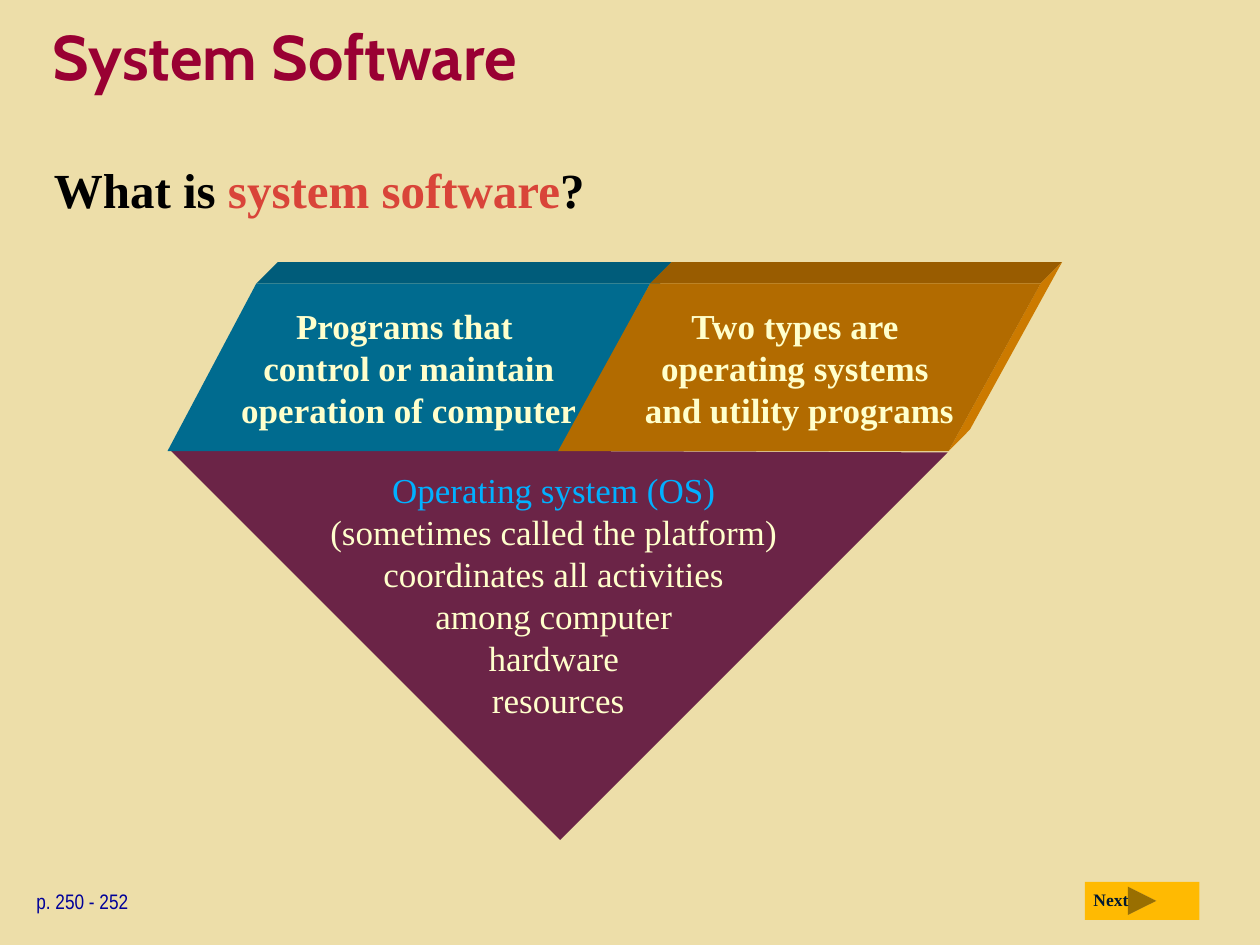
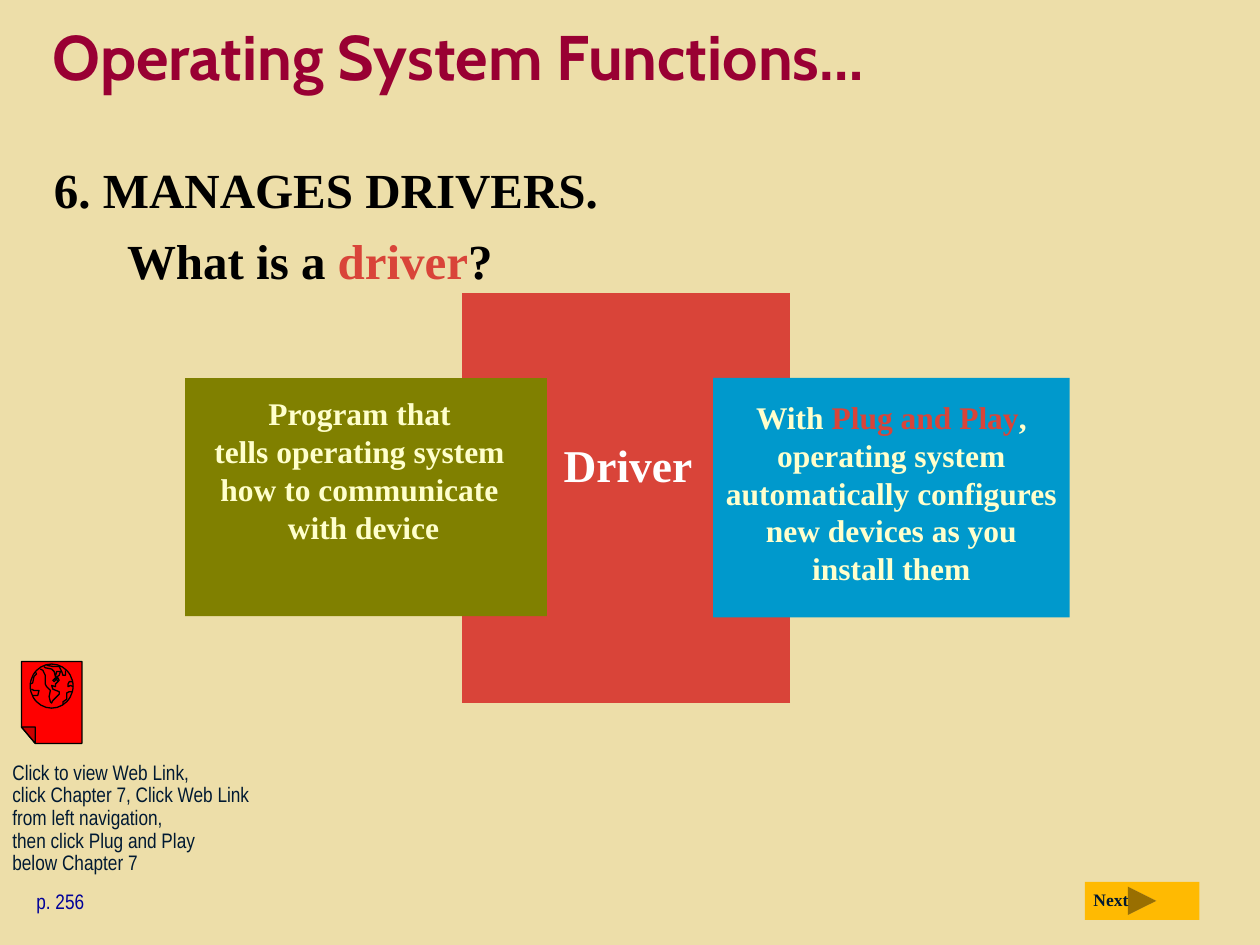
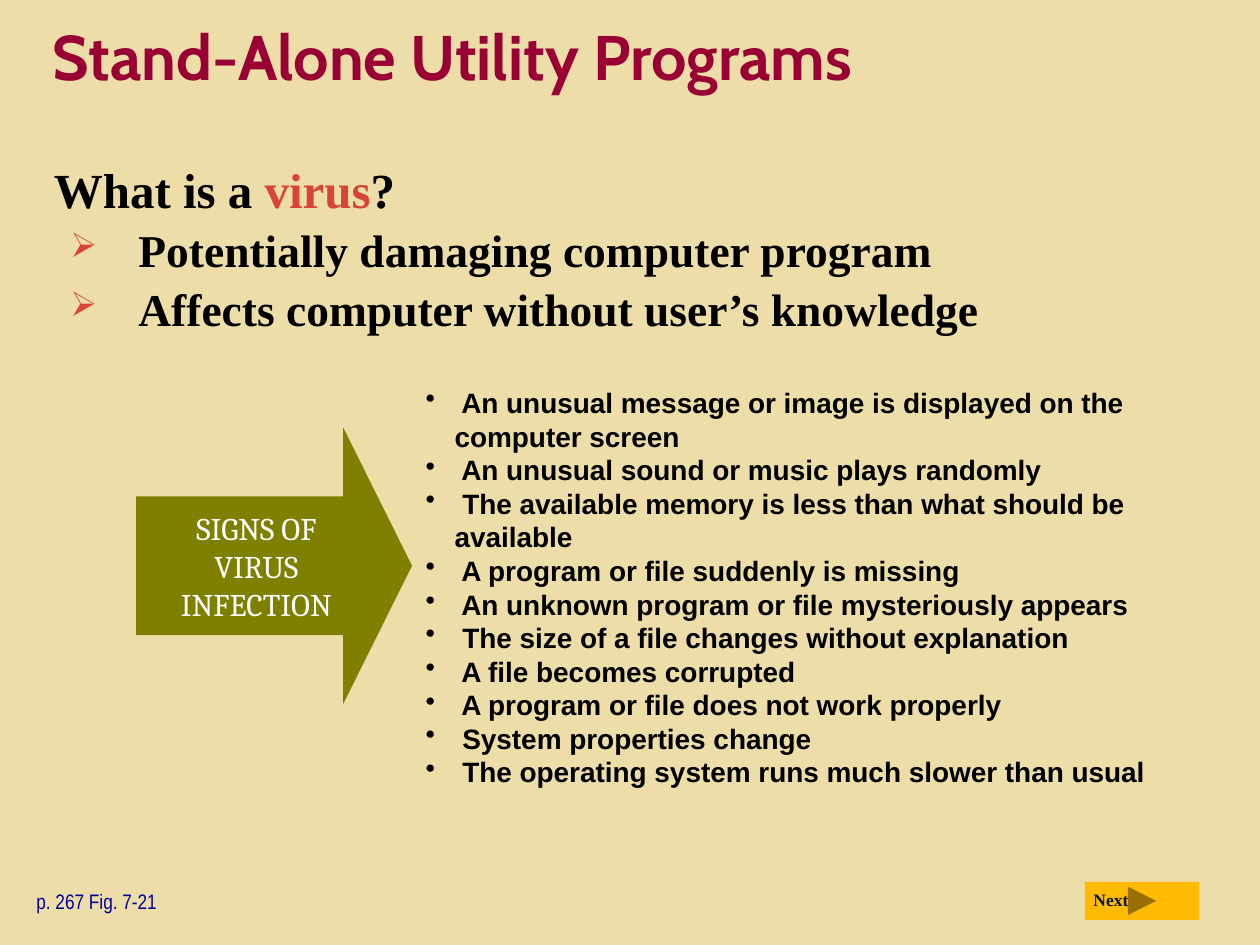
"""Builds three lesson slides on system software, drivers and viruses."""
from dataclasses import dataclass
from typing import NamedTuple, Optional, Sequence

import lxml.etree
import pptx
import pptx.dml.color
import pptx.enum.shapes
import pptx.enum.text
import pptx.oxml.ns
import pptx.util

RGBColor = pptx.dml.color.RGBColor
MSO_SHAPE = pptx.enum.shapes.MSO_SHAPE
ALIGN = pptx.enum.text.PP_ALIGN
ANCHOR = pptx.enum.text.MSO_ANCHOR
qn = pptx.oxml.ns.qn

SAND = RGBColor(0xED, 0xDE, 0xA9)
WINE = RGBColor(0x99, 0x00, 0x33)
PLUM = RGBColor(0x99, 0x33, 0x66)
CORAL = RGBColor(0xD9, 0x44, 0x39)
GOLD = RGBColor(0xFF, 0xBA, 0x02)
ORANGE = RGBColor(0xFF, 0x99, 0x00)
BLUE = RGBColor(0x00, 0x99, 0xCC)
SKY = RGBColor(0x01, 0xB0, 0xFF)
OLIVE = RGBColor(0x80, 0x80, 0x00)
CREAM = RGBColor(0xFF, 0xFF, 0xCC)
INK = RGBColor(0x00, 0x19, 0x32)
NAVY = RGBColor(0x00, 0x00, 0x99)
RED = RGBColor(0xFF, 0x00, 0x00)
BLACK = RGBColor(0x00, 0x00, 0x00)
WHITE = RGBColor(0xFF, 0xFF, 0xFF)

WIDTH, HEIGHT = pptx.util.Inches(10), pptx.util.Inches(7.5)
COLUMNS = 100
UNIT = WIDTH // COLUMNS
SERIF = "Times New Roman"


class Box(NamedTuple):
    col: float
    row: float
    cols: float
    rows: float


class Point(NamedTuple):
    col: float
    row: float


@dataclass(frozen=True)
class Style:
    size: float
    color: RGBColor
    font: str = SERIF
    bold: bool = True
    align: ALIGN = ALIGN.LEFT
    anchor: ANCHOR = ANCHOR.TOP
    gap: float = 0
    line: Optional[float] = None
    left: float = 0
    hang: float = 0
    bullet: str = ""
    bullet_color: Optional[RGBColor] = None
    bullet_size: int = 100


@dataclass(frozen=True)
class Slab:
    left: float
    skew: float
    color: RGBColor
    text: str


@dataclass(frozen=True)
class Panel:
    box: Box
    text_box: Box
    color: RGBColor
    text: str


TITLE = Style(36, WINE, "Cabin", anchor=ANCHOR.MIDDLE)
BODY = Style(28, BLACK, gap=6.5)
POINTS = Style(26, BLACK, gap=2.7, left=6.7, hang=5.4, bullet="➢", bullet_color=CORAL, bullet_size=75)
SIGNS = Style(16, BLACK, "Arial", left=2.3, hang=2.3, bullet="•")
NEXT = Style(10, INK)
PAGE = Style(12, NAVY, "Arial Narrow", bold=False)
LINK = Style(12, INK, "Arial Narrow", bold=False, line=0.9)
SLAB = Style(20, CREAM, align=ALIGN.CENTER, anchor=ANCHOR.MIDDLE)
SYSTEM = Style(20, CREAM, bold=False, align=ALIGN.CENTER)
PANEL = Style(18, CREAM, align=ALIGN.CENTER)
DRIVER = Style(26, WHITE, align=ALIGN.CENTER)
ARROW = Style(18, WHITE, "Cambria", bold=False, align=ALIGN.CENTER)

SLAB_TOP, SLAB_COLS, SLAB_ROWS, DEPTH = 22.5, 38.3, 13.3, 1.7
SLABS = (
    Slab(13.3, 0.53, BLUE, "Programs that \ncontrol or maintain\noperation of computer"),
    Slab(44.3, 0.55, ORANGE, "Two types are \noperating systems \nand utility programs"),
)
PANELS = (
    Panel(Box(14.7, 30, 28.7, 18.9), Box(14.7, 30.8, 28.3, 13), OLIVE,
          "Program that \ntells operating system \nhow to communicate \nwith device"),
    Panel(Box(56.6, 30, 28.3, 19), Box(56.6, 31.1, 28.3, 16), BLUE,
          "With |Plug and Play|, operating system automatically configures new devices as you install them"),
)
SIGN_LINES = (
    " An unusual message or image is displayed on the computer screen",
    " An unusual sound or music plays randomly",
    " The available memory is less than what should be available",
    " A program or file suddenly is missing",
    " An unknown program or file mysteriously appears",
    " The size of a file changes without explanation",
    " A file becomes corrupted",
    " A program or file does not work properly",
    " System properties change",
    " The operating system runs much slower than usual",
)
SHEET = [(1.7, 52.5), (6.5, 52.5), (6.5, 59), (2.8, 59), (1.7, 57.7)]
FOLD = [(1.7, 57.7), (2.8, 57.7), (2.8, 59)]
LANDS = (
    [(3.2, 53.1), (3.4, 53.2), (3.6, 53.6), (3.6, 54.3), (3.7, 54.5), (4, 54.8),
     (3.9, 55.3), (4, 55.7), (4.1, 55.8), (4.2, 55.6), (4.7, 55.1), (4.7, 54.9),
     (4.2, 54.7), (4.1, 54.4), (4.4, 54.5), (4.4, 54.3), (4.7, 54), (4.6, 53.8),
     (4.2, 54), (4.4, 53.8), (4.7, 53.6), (4.8, 53.3), (4.5, 53.3), (4.4, 53.7),
     (4.3, 53.3), (4.1, 53.1), (3.6, 53), (3.5, 52.9)],
    [(4.2, 54), (4.3, 54.1), (4.5, 53.9), (4.6, 54.1), (4.4, 54.3)],
    [(3.7, 52.8), (4.2, 52.9), (4.7, 52.9), (4.9, 53.3), (5, 53.6), (5.2, 53.6), (5.2, 53.2)],
    [(2.4, 54.3), (2.6, 54.2), (2.7, 53.7), (2.9, 53.5), (2.8, 53.3)],
    [(2.5, 54.7), (2.7, 54.8), (3.1, 54.8), (3, 55.2), (2.8, 55.2), (2.6, 55.2)],
    [(5, 55.9), (5, 55.7), (5.3, 55.5), (5.3, 55), (5.5, 54.9), (5.7, 54.9)],
    [(5.8, 54.5), (5.6, 54.4), (5.4, 54.5), (5.4, 54.3), (5.5, 54.1), (5.7, 54.1)],
)


def emu(cells: float) -> int:
    """Turn grid cells into a length."""
    return round(cells * UNIT)


def shade(color: RGBColor, share: float) -> RGBColor:
    """Darken a colour to a share of its brightness."""
    return RGBColor(*(round(c * share) for c in color))


def paint(sp, fill: Optional[RGBColor], line: Optional[RGBColor] = None, weight: float = 0.75):
    """Set the fill and outline of a shape."""
    sp.shadow.inherit = False
    if fill is None:
        sp.fill.background()
    else:
        sp.fill.solid()
        sp.fill.fore_color.rgb = fill
    if line is None:
        sp.line.fill.background()
    else:
        sp.line.color.rgb = line
        sp.line.width = pptx.util.Pt(weight)
    return sp


def shape(s, kind: MSO_SHAPE, box: Box, fill: Optional[RGBColor],
          line: Optional[RGBColor] = None, weight: float = 0.75):
    """Add a preset shape on the grid."""
    return paint(s.shapes.add_shape(kind, *map(emu, box)), fill, line, weight)


def outline(s, contours: Sequence[Sequence[tuple]], fill: Optional[RGBColor],
            line: Optional[RGBColor] = None, close: bool = True):
    """Add a freeform made of one or more contours."""
    grids = [[(emu(x), emu(y)) for x, y in contour] for contour in contours]
    builder = s.shapes.build_freeform(*grids[0][0])
    for i, points in enumerate(grids):
        if i:
            builder.move_to(*points[0])
        builder.add_line_segments(points[1:], close=close)
    return paint(builder.convert_to_shape(), fill, line)


def indent(p, left: float, hang: float) -> None:
    """Set the left and hanging indent of a paragraph."""
    pPr = p._p.get_or_add_pPr()
    pPr.set("marL", str(emu(left)))
    pPr.set("indent", str(-emu(hang)))


def add_bullet(p, style: Style) -> None:
    """Give a paragraph its bullet."""
    pPr = p._p.get_or_add_pPr()
    if style.bullet_color is not None:
        clr = lxml.etree.SubElement(pPr, qn("a:buClr"))
        lxml.etree.SubElement(clr, qn("a:srgbClr")).set("val", str(style.bullet_color))
    lxml.etree.SubElement(pPr, qn("a:buSzPct")).set("val", str(style.bullet_size * 1000))
    lxml.etree.SubElement(pPr, qn("a:buChar")).set("char", style.bullet)


def write(tf, lines: Sequence[str], style: Style):
    """Fill a text frame; words between bars take the accent colour."""
    tf.vertical_anchor = style.anchor
    for i, line in enumerate(lines):
        p = tf.add_paragraph() if i else tf.paragraphs[0]
        head, *rest = line.split("|")
        p.text = head
        for part in rest:
            p.add_run().text = part
        p.alignment = style.align
        if i and style.gap:
            p.space_before = pptx.util.Pt(style.gap)
        if style.line:
            p.line_spacing = style.line
        if style.bullet:
            indent(p, style.left, style.hang)
            add_bullet(p, style)
        for j, r in enumerate(p.runs):
            r.font.name, r.font.size, r.font.bold = style.font, pptx.util.Pt(style.size), style.bold
            r.font.color.rgb = CORAL if rest and j == 1 else style.color
    return tf


def text(s, box: Box, lines: Sequence[str], style: Style):
    """Add a wrapped text box on the grid."""
    tf = s.shapes.add_textbox(*map(emu, box)).text_frame
    tf.word_wrap = True
    return write(tf, lines, style)


def new_slide(prs, title: str, body: Sequence[str], page: str):
    """Add a slide with title, question, page reference and button."""
    s = prs.slides.add_slide(prs.slide_layouts[6])
    text(s, Box(3.2, 0, 93.9, 8.8), [title], TITLE)
    tf = text(s, Box(3.3, 12.2, 93.9, 6.4), body, BODY)
    for p in tf.paragraphs[1:]:
        indent(p, 5.8, 0)
    shape(s, MSO_SHAPE.ACTION_BUTTON_FORWARD_OR_NEXT, Box(86.1, 70, 9.1, 3), GOLD)
    text(s, Box(85.8, 70.1, 5.1, 2.7), ["Next"], NEXT)
    text(s, Box(1.9, 70, 16.9, 3), [page], PAGE)
    return s


def draw_slab(s, slab: Slab) -> None:
    """Draw a slanted slab with a top and a right face."""
    top, bottom = SLAB_TOP, SLAB_TOP + SLAB_ROWS
    right, slant = slab.left + SLAB_COLS, slab.skew * SLAB_ROWS
    back = top - DEPTH
    start = slab.left + slant
    outline(s, [[(start, top), (start + DEPTH, back), (right + DEPTH, back), (right, top)]],
            shade(slab.color, 0.6))
    outline(s, [[(right, top), (right + DEPTH, back),
                 (right - slant + DEPTH, bottom - DEPTH), (right - slant, bottom)]],
            shade(slab.color, 0.8))
    sp = shape(s, MSO_SHAPE.PARALLELOGRAM, Box(slab.left, top, SLAB_COLS, SLAB_ROWS),
               shade(slab.color, 0.7))
    sp.adjustments[0] = slab.skew
    sp.text_frame.word_wrap = False
    write(sp.text_frame, [slab.text], SLAB)


def system_slide(prs) -> None:
    """Build the system software slide."""
    s = new_slide(prs, "System Software", ["What is |system software|?"], "p. 250 - 252")
    sp = shape(s, MSO_SHAPE.RIGHT_TRIANGLE, Box(22.6, 13.9, 43.5, 43.8), shade(PLUM, 0.7))
    sp.rotation = 315
    tf = text(s, Box(14.3, 36.7, 60, 21), [
        "Operating system (OS) \n(sometimes called the platform) \ncoordinates all activities \n"
        "among computer \nhardware \nresources"], SYSTEM)
    tf.paragraphs[0].runs[0].font.color.rgb = SKY
    for slab in SLABS:
        draw_slab(s, slab)


def draw_web_icon(s) -> None:
    """Draw a folded sheet with a globe on it."""
    outline(s, [SHEET], RED, BLACK)
    outline(s, [FOLD], shade(RED, 0.8), BLACK)
    shape(s, MSO_SHAPE.OVAL, Box(2.4, 52.7, 3.4, 3.5), RED, BLACK)
    outline(s, LANDS, None, BLACK, close=False)


def driver_slide(prs) -> None:
    """Build the driver slide."""
    s = new_slide(prs, "Operating System Functions…",
                  ["6. MANAGES DRIVERS.", "What is a |driver|?"], "p. 256")
    for col, turn in ((36.7, 0), (53.1, 180)):
        sp = shape(s, MSO_SHAPE.RIGHT_BRACKET, Box(col, 26.7, 9.6, 25.6), None, CORAL, 50)
        sp.adjustments[0] = 0
        sp.rotation = turn
        lxml.etree.SubElement(sp.line._get_or_add_ln(), qn("a:miter")).set("lim", "800000")
    text(s, Box(43.2, 34.2, 13.3, 5.3), ["Driver"], DRIVER)
    for panel in PANELS:
        shape(s, MSO_SHAPE.RECTANGLE, panel.box, panel.color)
        text(s, panel.text_box, [panel.text], PANEL)
    text(s, Box(0, 60, 21.7, 6.7), [
        "Click to view Web Link,\nclick Chapter 7, Click Web Link\nfrom left navigation,",
        "then click Plug and Play \nbelow Chapter 7"], LINK)
    draw_web_icon(s)


def virus_slide(prs) -> None:
    """Build the virus slide."""
    s = new_slide(prs, "Stand-Alone Utility Programs", ["What is a |virus|?"], "p. 267 Fig. 7-21")
    sp = shape(s, MSO_SHAPE.RIGHT_ARROW, Box(10.8, 33.9, 21.9, 22), OLIVE)
    sp.adjustments[0], sp.adjustments[1] = 0.5, 0.25
    text(s, Box(11.2, 39.9, 18.3, 10), ["SIGNS OF VIRUS INFECTION"], ARROW)
    text(s, Box(3.3, 17.1, 93.9, 15.9), [
        "Potentially damaging computer program",
        "Affects computer without user’s knowledge"], POINTS)
    tf = text(s, Box(32.8, 25.1, 64.3, 37.9), SIGN_LINES, SIGNS)
    tf.margin_top, tf.margin_bottom = emu(5.5), 0


def main() -> None:
    """Build and save the deck."""
    prs = pptx.Presentation()
    prs.slide_width, prs.slide_height = WIDTH, HEIGHT
    fill = prs.slide_master.background.fill
    fill.solid()
    fill.fore_color.rgb = SAND
    system_slide(prs)
    driver_slide(prs)
    virus_slide(prs)
    prs.save("out.pptx")


if __name__ == "__main__":
    main()
